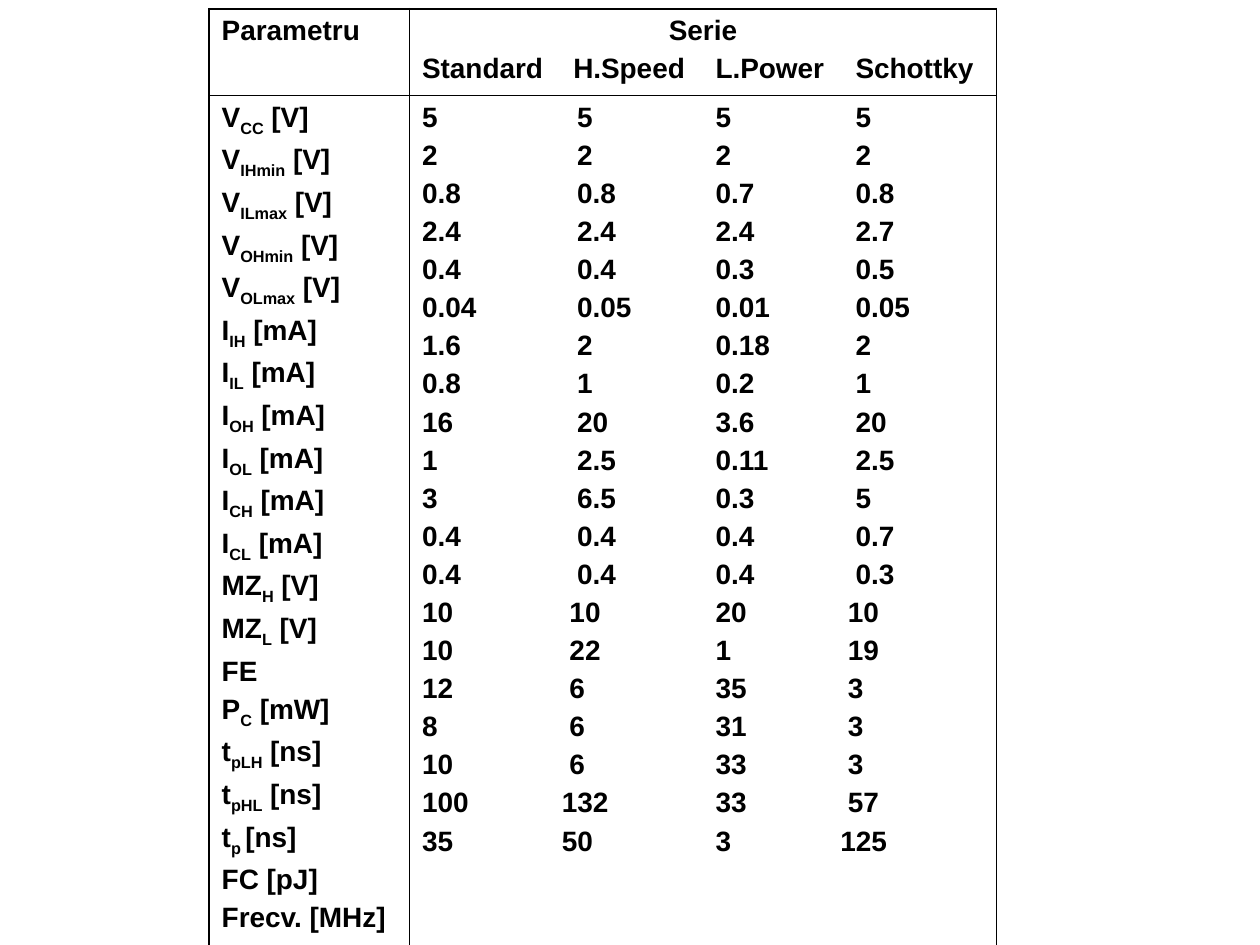
from lxml import etree
from pptx import Presentation
from pptx.dml.color import RGBColor
from pptx.enum.text import PP_ALIGN
from pptx.oxml.ns import qn
from pptx.util import Inches, Pt

CENTER = PP_ALIGN.CENTER
LEFT = PP_ALIGN.LEFT

COLORS = {"ink": "000000"}
FONT = "Arial"
SIZE = 16
GAP = 4
OUTER, INNER = 1.08, 0.45
COL_WIDTHS = [1.59, 4.66]
ROW_HEIGHTS = [0.69, 7.11]
HEAD_STOPS = [1.2, 2.33, 3.44]
WIDE_STOPS = [1.23, 2.33, 3.44]
MID_STOPS = [1.17, 2.33, 3.38]
NARROW_STOPS = [1.11, 2.33, 3.32]

SERIES = ["Standard", "H.Speed", "L.Power", "Schottky"]
PARAMETERS = [
    (("V", "CC", " [V]"), ["5", "5", "5", "5"], WIDE_STOPS),
    (("V", "IHmin", " [V]"), ["2", "2", "2", "2"], WIDE_STOPS),
    (("V", "ILmax", " [V]"), ["0.8", "0.8", "0.7", "0.8"], WIDE_STOPS),
    (("V", "OHmin", " [V]"), ["2.4", "2.4", "2.4", "2.7"], WIDE_STOPS),
    (("V", "OLmax", " [V]"), ["0.4", "0.4", "0.3", "0.5"], WIDE_STOPS),
    (("I", "IH", " [mA]"), ["0.04", "0.05", "0.01", "0.05"], WIDE_STOPS),
    (("I", "IL", " [mA]"), ["1.6", "2", "0.18", "2"], WIDE_STOPS),
    (("I", "OH", " [mA]"), ["0.8", "1", "0.2", "1"], WIDE_STOPS),
    (("I", "OL", " [mA]"), ["16", "20", "3.6", "20"], WIDE_STOPS),
    (("I", "CH", " [mA]"), ["1", "2.5", "0.11", "2.5"], WIDE_STOPS),
    (("I", "CL", " [mA]"), ["3", "6.5", "0.3", "5"], WIDE_STOPS),
    (("MZ", "H", " [V]"), ["0.4", "0.4", "0.4", "0.7"], WIDE_STOPS),
    (("MZ", "L", " [V]"), ["0.4", "0.4", "0.4", "0.3"], WIDE_STOPS),
    (("FE",), ["10", "10", "20", "10"], MID_STOPS),
    (("P", "C", " [mW]"), ["10", "22", "1", "19"], MID_STOPS),
    (("t", "pLH", " [ns]"), ["12", "6", "35", "3"], MID_STOPS),
    (("t", "pHL", " [ns]"), ["8", "6", "31", "3"], MID_STOPS),
    (("t", "p ", "[ns]"), ["10", "6", "33", "3"], MID_STOPS),
    (("FC [pJ]",), ["100", "132", "33", "57"], MID_STOPS[:0] + [1.11, 2.33, 3.38]),
    (("Frecv. [MHz]",), ["35", "50", "3", "125"], NARROW_STOPS),
]
PARAMETERS[-2] = PARAMETERS[-2][:2] + ([NARROW_STOPS[0], *MID_STOPS[1:]],)


def add_tab_stops(p, stops):
    tabs = etree.SubElement(p._p.get_or_add_pPr(), qn("a:tabLst"))
    for stop in stops:
        etree.SubElement(tabs, qn("a:tab"), pos=str(Inches(stop)), algn="l")


def fill_cell(cell, lines, stops=None, centered=()):
    tf = cell.text_frame
    for i, parts in enumerate(lines):
        p = tf.paragraphs[0] if i == 0 else tf.add_paragraph()
        p.alignment = CENTER if i in centered else LEFT
        p.space_before = Pt(GAP)
        if stops and stops[i]:
            add_tab_stops(p, stops[i])
        for j, text in enumerate(parts):
            r = p.add_run()
            r.text = text
            r.font.name = FONT
            r.font.size = Pt(SIZE)
            r.font.bold = True
            r.font.color.rgb = RGBColor.from_string(COLORS["ink"])
            if j == 1:
                r._r.get_or_add_rPr().set("baseline", "-25000")


def set_borders(cell, widths):
    tc_pr = cell._tc.get_or_add_tcPr()
    for i, (side, width) in enumerate(widths.items()):
        ln = etree.Element(qn("a:ln" + side), w=str(Pt(width)))
        fill = etree.SubElement(ln, qn("a:solidFill"))
        etree.SubElement(fill, qn("a:srgbClr"), val=COLORS["ink"])
        tc_pr.insert(i, ln)


prs = Presentation()
prs.slide_width, prs.slide_height = Inches(10), Inches(7.5)
s = prs.slides.add_slide(prs.slide_layouts[6])

table = s.shapes.add_table(
    2, 2, Inches(1.66), Inches(0.07), Inches(sum(COL_WIDTHS)), Inches(sum(ROW_HEIGHTS))
).table
table.first_row = False
table.horz_banding = False
for col, width in zip(table.columns, COL_WIDTHS):
    col.width = Inches(width)
for row, height in zip(table.rows, ROW_HEIGHTS):
    row.height = Inches(height)

names, values, stops = zip(*PARAMETERS)
fill_cell(table.cell(0, 0), [("Parametru",)])
fill_cell(table.cell(0, 1), [("Serie",), ("\t".join(SERIES),)], [None, HEAD_STOPS], (0,))
fill_cell(table.cell(1, 0), names)
fill_cell(table.cell(1, 1), [("\t".join(v),) for v in values], stops)

for i in range(2):
    for j in range(2):
        cell = table.cell(i, j)
        cell.fill.background()
        set_borders(cell, {
            "L": INNER if j else OUTER,
            "R": OUTER if j else INNER,
            "T": INNER if i else OUTER,
            "B": OUTER if i else INNER,
        })

prs.save("out.pptx")
